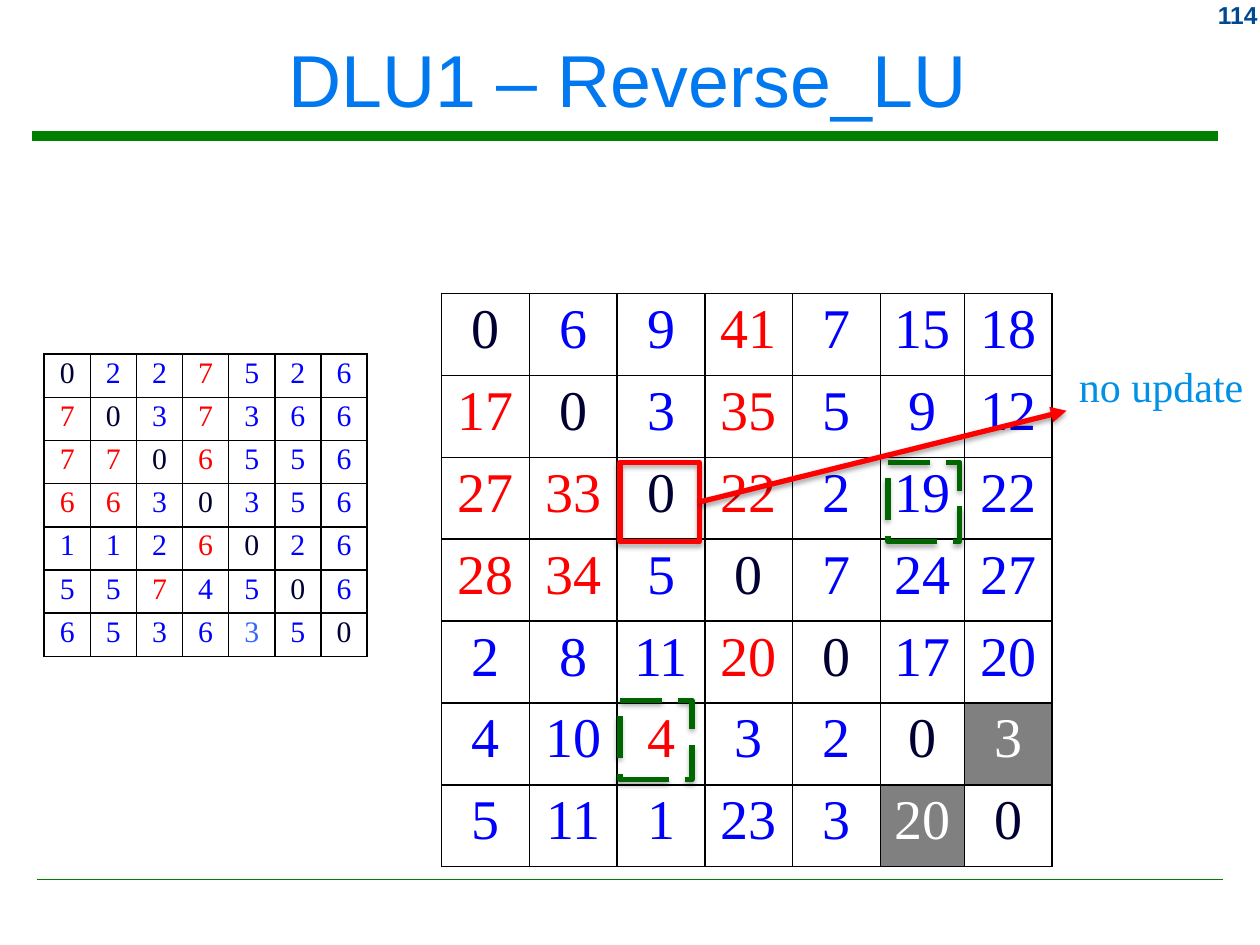
from lxml.etree import SubElement
from pptx import Presentation
from pptx.dml.color import RGBColor
from pptx.enum.dml import MSO_LINE
from pptx.enum.shapes import MSO_CONNECTOR, MSO_SHAPE
from pptx.enum.text import MSO_ANCHOR, PP_ALIGN
from pptx.oxml.ns import qn
from pptx.util import Cm, Pt

WHITE = RGBColor(0xFF, 0xFF, 0xFF)
BLACK = RGBColor(0x00, 0x00, 0x00)
GRAY = RGBColor(0x80, 0x80, 0x80)
NAVY = RGBColor(0x00, 0x00, 0x33)
BLUE = RGBColor(0x00, 0x00, 0xFF)
LIGHT_BLUE = RGBColor(0x33, 0x66, 0xFF)
TITLE_BLUE = RGBColor(0x00, 0x78, 0xF0)
NOTE_BLUE = RGBColor(0x00, 0x90, 0xE5)
NUMBER_BLUE = RGBColor(0x00, 0x49, 0x92)
RED = RGBColor(0xFF, 0x00, 0x00)
RULE_GREEN = RGBColor(0x00, 0x80, 0x00)
DASH_GREEN = RGBColor(0x00, 0x66, 0x00)

# A letter after a number marks its text colour and cell fill
MARKS = {"r": (RED, WHITE), "l": (LIGHT_BLUE, WHITE), "w": (WHITE, GRAY)}

COST_MATRIX = """
0 2 2 7r 5 2 6
7r 0 3 7r 3 6 6
7r 7r 0 6r 5 5 6
6r 6r 3 0 3 5 6
1 1 2 6r 0 2 6
5 5 7r 4 5 0 6
6 5 3 6 3l 5 0"""

DISTANCE_MATRIX = """
0 6 9 41r 7 15 18
17r 0 3 35r 5 9 12
27r 33r 0 22r 2 19 22
28r 34r 5 0 7 24 27
2 8 11 20r 0 17 20
4 10 4r 3 2 0 3w
5 11 1 23 3 20w 0"""


class SlideBuilder:
    sans = "Arial"
    serif = "Times New Roman"

    def __init__(self, slide):
        self.slide = slide

    def style(self, paragraph, font, size, color, align, bold=False):
        paragraph.alignment = align
        for run in paragraph.runs:
            run.font.name = font
            run.font.size = Pt(size)
            run.font.bold = bold
            run.font.color.rgb = color

    def title(self, text, left, top, width, height):
        title = self.slide.shapes.title
        title.left, title.top = Cm(left), Cm(top)
        title.width, title.height = Cm(width), Cm(height)
        title.text_frame.text = text
        title.text_frame.vertical_anchor = MSO_ANCHOR.MIDDLE
        self.style(title.text_frame.paragraphs[0], self.sans, 42, TITLE_BLUE, PP_ALIGN.CENTER)

    def text(self, text, left, top, width, height, font, size, color,
             align=PP_ALIGN.LEFT, bold=False):
        box = self.slide.shapes.add_textbox(Cm(left), Cm(top), Cm(width), Cm(height))
        box.text_frame.word_wrap = True
        box.text_frame.text = text
        self.style(box.text_frame.paragraphs[0], font, size, color, align, bold)

    def effects(self, shape, opacity=0, distance=0):
        """Replace the theme shadow with a soft one below, or with none."""
        properties = shape._element.spPr
        effects = SubElement(properties, qn("a:effectLst"))
        if opacity:
            shadow = SubElement(effects, qn("a:outerShdw"), blurRad=str(Pt(3.1)),
                                dist=str(Pt(distance)), dir="5400000", rotWithShape="0")
            color = SubElement(shadow, qn("a:srgbClr"), val=str(BLACK))
            SubElement(color, qn("a:alpha"), val=str(opacity * 1000))

    def line(self, start, end, color, width):
        connector = self.slide.shapes.add_connector(
            MSO_CONNECTOR.STRAIGHT, *(Cm(value) for value in start + end))
        connector.line.color.rgb = color
        connector.line.width = Pt(width)
        return connector

    def rule(self, left, top, width, weight):
        self.effects(self.line((left, top), (left + width, top), RULE_GREEN, weight))

    def arrow(self, source, start, end):
        arrow = self.line(start, end, RED, 3)
        arrow.begin_connect(source, 3)
        SubElement(arrow._element.spPr.find(qn("a:ln")), qn("a:tailEnd"), type="triangle")
        self.effects(arrow, 38, 1.6)

    def frame(self, left, top, width, height, color, dash=None):
        frame = self.slide.shapes.add_shape(
            MSO_SHAPE.RECTANGLE, Cm(left), Cm(top), Cm(width), Cm(height))
        frame.fill.background()
        frame.line.color.rgb = color
        frame.line.width = Pt(3)
        if dash:
            frame.line.dash_style = dash
        self.effects(frame, 35, 1.8)
        return frame

    def matrix(self, values, left, top, widths, row_height, size, margins):
        rows = [row.split() for row in values.strip().splitlines()]
        table = self.slide.shapes.add_table(
            len(rows), len(widths), Cm(left), Cm(top),
            Cm(sum(widths)), Cm(row_height * len(rows))).table
        table.first_row = table.horz_banding = False
        for column, width in zip(table.columns, widths):
            column.width = Cm(width)
        for row, entries in zip(table.rows, rows):
            row.height = Cm(row_height)
            for cell, entry in zip(row.cells, entries):
                self.cell(cell, entry, size, margins)

    def cell(self, cell, entry, size, margins):
        number = entry.rstrip("rlw")
        plain = (NAVY if number == "0" else BLUE, WHITE)
        color, fill = MARKS.get(entry[len(number):], plain)
        cell.margin_left = cell.margin_right = Cm(margins[0])
        cell.margin_top = cell.margin_bottom = Cm(margins[1])
        for side in ("a:lnL", "a:lnR", "a:lnT", "a:lnB"):
            border = SubElement(cell._tc.get_or_add_tcPr(), qn(side), w=str(Pt(1)))
            border_fill = SubElement(border, qn("a:solidFill"))
            SubElement(border_fill, qn("a:srgbClr"), val=str(BLACK))
        cell.fill.solid()
        cell.fill.fore_color.rgb = fill
        cell.text_frame.text = number
        self.style(cell.text_frame.paragraphs[0], self.serif, size, color, PP_ALIGN.CENTER)


def main():
    presentation = Presentation()
    presentation.slide_width, presentation.slide_height = Cm(25.4), Cm(19.05)
    builder = SlideBuilder(presentation.slides.add_slide(presentation.slide_layouts[5]))

    # Title, rules and page number
    builder.rule(0.64, 2.74, 23.92, 5.25)
    builder.rule(0.74, 17.73, 23.92, 1)
    builder.text("114", 23.29, -0.13, 2.31, 0.84, builder.sans, 14, NUMBER_BLUE,
                 PP_ALIGN.RIGHT, bold=True)
    builder.title("DLU1 – Reverse_LU", 0.2, 0.23, 24.9, 2.69)

    # Distance matrix
    builder.matrix(DISTANCE_MATRIX, 8.9, 5.92, [1.77] * 5 + [1.69, 1.77], 1.65, 32,
                   (0.23, 0.1))

    # Current entry with its note
    entry = builder.frame(12.5, 9.32, 1.6, 1.6, RED)
    builder.arrow(entry, (14.1, 10.12), (21.5, 8.28))
    builder.text("no update", 21.5, 7.14, 3.86, 1.2, builder.serif, 24, NOTE_BLUE)

    # Entries being compared
    for left, top in ((12.5, 14.12), (17.9, 9.32)):
        builder.frame(left, top, 1.45, 1.6, DASH_GREEN, MSO_LINE.LONG_DASH)

    # Cost matrix
    builder.matrix(COST_MATRIX, 0.89, 7.14, [0.93] * 7, 0.87, 17, (0.13, 0.05))

    presentation.save("out.pptx")


if __name__ == "__main__":
    main()
